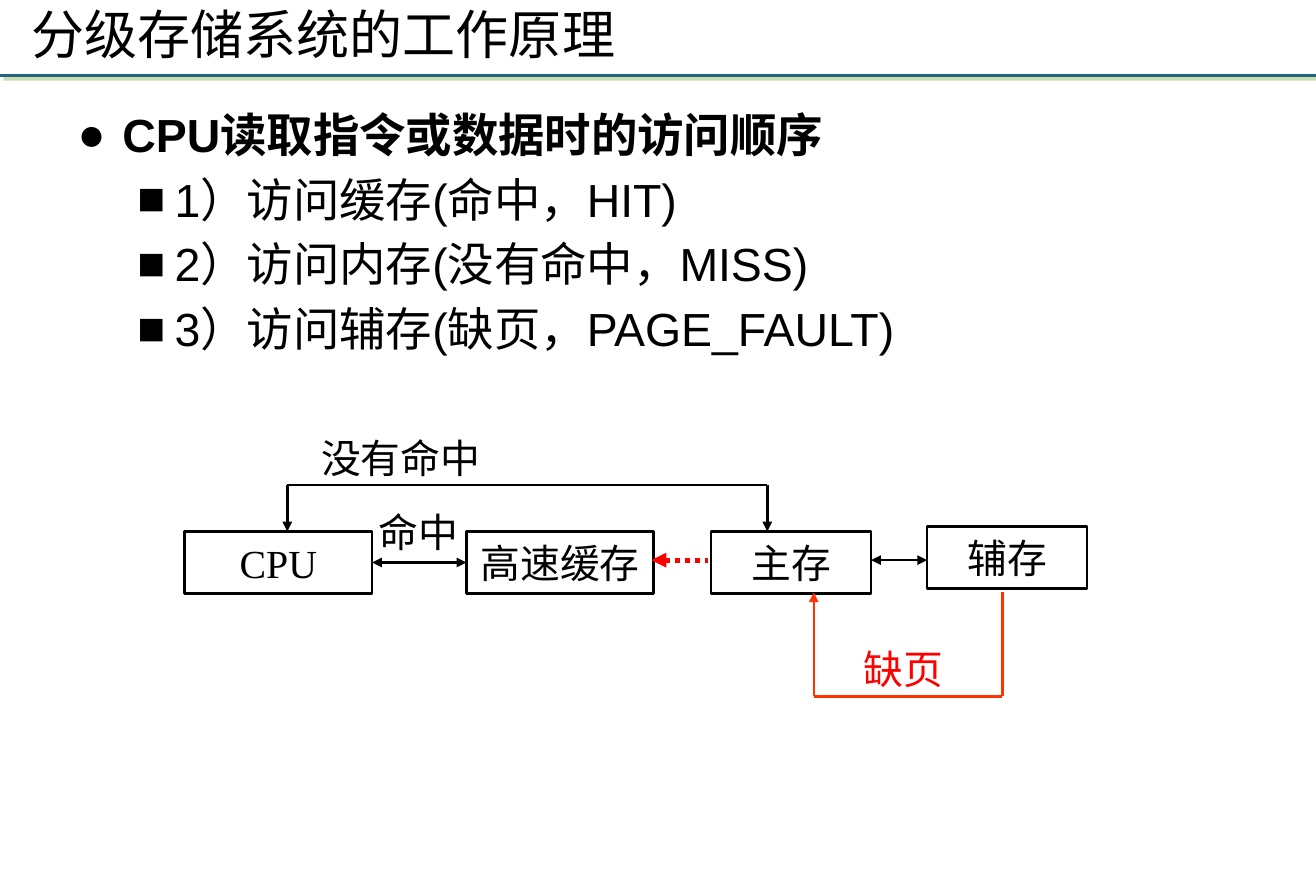
from lxml.etree import SubElement
from pptx import Presentation
from pptx.dml.color import RGBColor
from pptx.enum.dml import MSO_LINE
from pptx.enum.shapes import MSO_CONNECTOR, MSO_SHAPE
from pptx.enum.text import MSO_ANCHOR, PP_ALIGN
from pptx.oxml.ns import qn
from pptx.util import Pt

BLACK, RED, ORANGE = "000000", "FF0000", "FF3300"


def colour(value):
    return RGBColor.from_string(value)


def style_text(para, size, font, shade=BLACK, bold=False):
    for span in para.runs:
        span.font.size = Pt(size)
        span.font.name = font
        span.font.bold = bold
        span.font.color.rgb = colour(shade)


def add_text(page, text, left, top, width, height, size, font, shade=BLACK,
             align=PP_ALIGN.LEFT, anchor=MSO_ANCHOR.TOP):
    box = page.shapes.add_textbox(Pt(left), Pt(top), Pt(width), Pt(height))
    frame = box.text_frame
    frame.word_wrap = True
    frame.vertical_anchor = anchor
    frame.text = text
    frame.paragraphs[0].alignment = align
    style_text(frame.paragraphs[0], size, font, shade)


def add_line(page, start, end, shade=BLACK, width=1.5, head=False, tail=False, dash=None):
    points = [Pt(value) for value in (*start, *end)]
    line = page.shapes.add_connector(MSO_CONNECTOR.STRAIGHT, *points)
    line.line.color.rgb = colour(shade)
    line.line.width = Pt(width)
    if dash:
        line.line.dash_style = dash
    outline = line.line._get_or_add_ln()
    for shown, tag in ((head, "a:headEnd"), (tail, "a:tailEnd")):
        if shown:
            SubElement(outline, qn(tag), type="triangle")
    SubElement(line._element.spPr, qn("a:effectLst"))
    return line


def add_header(page, left, top, width):
    rule = add_line(page, (left, top + 45.6), (left + width, top + 45.6), "236485", 2.25)
    effects = rule._element.spPr.find(qn("a:effectLst"))
    shadow = SubElement(effects, qn("a:outerShdw"), dist=str(Pt(2.8)), dir="2700000")
    tint = SubElement(shadow, qn("a:srgbClr"), val="90C060")
    SubElement(tint, qn("a:alpha"), val="50000")
    add_text(page, "分级存储系统的工作原理", left + 11.8, top - 2.9, 612, 46, 32, "Arial",
             anchor=MSO_ANCHOR.MIDDLE)


def add_access_order(page, left, top, width, height):
    items = [
        ("CPU读取指令或数据时的访问顺序", 0),
        ("1）访问缓存(命中，HIT)", 1),
        ("2）访问内存(没有命中，MISS)", 1),
        ("3）访问辅存(缺页，PAGE_FAULT)", 1),
    ]
    levels = [("●", 27, 27), ("■", 58.5, 22.5)]
    box = page.shapes.add_textbox(Pt(left), Pt(top), Pt(width), Pt(height))
    frame = box.text_frame
    frame.word_wrap = True
    frame.text = "\n".join(text for text, level in items)
    for index, (para, (text, level)) in enumerate(zip(frame.paragraphs, items)):
        mark, margin, hanging = levels[level]
        para.level = level
        para.space_before = Pt(5.4 if index else 0)
        properties = para._p.get_or_add_pPr()
        properties.set("marL", str(Pt(margin)))
        properties.set("indent", str(-Pt(hanging)))
        SubElement(properties, qn("a:buFont"), typeface="Arial")
        SubElement(properties, qn("a:buChar"), char=mark)
        style_text(para, 28, "Arial", bold=level == 0)


def add_unit(page, name, left, top, width):
    unit = page.shapes.add_shape(MSO_SHAPE.RECTANGLE, Pt(left), Pt(top), Pt(width), Pt(37.4))
    unit.shadow.inherit = False
    unit.fill.background()
    unit.line.color.rgb = colour(BLACK)
    unit.line.width = Pt(1.5)
    frame = unit.text_frame
    frame.word_wrap = True
    frame.vertical_anchor = MSO_ANCHOR.MIDDLE
    frame.text = name
    frame.paragraphs[0].alignment = PP_ALIGN.CENTER
    style_text(frame.paragraphs[0], 24, "Times New Roman")
    return unit


def add_memory_diagram(page, left, top):
    row, bus, middle = top + 62.6, top + 34.6, top + 79.9
    processor = add_unit(page, "CPU", left, row, 113)
    cache = add_unit(page, "高速缓存", left + 169.9, row, 113)
    add_unit(page, "主存", left + 317.5, row, 96.5)
    add_unit(page, "辅存", left + 447.8, row - 2.9, 96.5)

    hit = add_line(page, (left + 113, middle), (left + 169.9, middle), head=True, tail=True)
    hit.begin_connect(processor, 3)
    hit.end_connect(cache, 1)
    add_line(page, (left + 281.5, middle), (left + 315.4, middle), RED, 3, head=True,
             dash=MSO_LINE.ROUND_DOT)
    add_line(page, (left + 414, middle), (left + 447.8, middle), head=True, tail=True)

    miss_start, miss_end = left + 61.9, left + 351.4
    add_line(page, (miss_start, row), (miss_start, bus), head=True)
    add_line(page, (miss_start, bus), (miss_end, bus))
    add_line(page, (miss_end, bus), (miss_end, row), tail=True)

    fault_start, fault_end = left + 493.2, left + 379.4
    fault_top, fault_bottom = top + 99.3, top + 162
    add_line(page, (fault_start, fault_top), (fault_start, fault_bottom), ORANGE)
    add_line(page, (fault_start, fault_bottom), (fault_end, fault_bottom), ORANGE)
    add_line(page, (fault_end, fault_bottom), (fault_end, fault_top), ORANGE, tail=True)

    labels = [
        ("命中", 101.5, 44.6, 79.2, BLACK, PP_ALIGN.CENTER),
        ("没有命中", 51.1, 0, 158.4, BLACK, PP_ALIGN.CENTER),
        ("缺页", 402.5, 127.4, 68.4, RED, PP_ALIGN.LEFT),
    ]
    for text, across, down, width, shade, align in labels:
        add_text(page, text, left + across, top + down, width, 36, 24, "Times New Roman",
                 shade, align)


def main():
    deck = Presentation()
    deck.slide_width, deck.slide_height = Pt(793.7), Pt(540)
    page = deck.slides.add_slide(deck.slide_layouts[6])
    add_header(page, 0, 0, 793.7)
    add_access_order(page, 39.8, 60.5, 714, 422)
    add_memory_diagram(page, 111.4, 258.1)
    deck.save("out.pptx")


if __name__ == "__main__":
    main()
